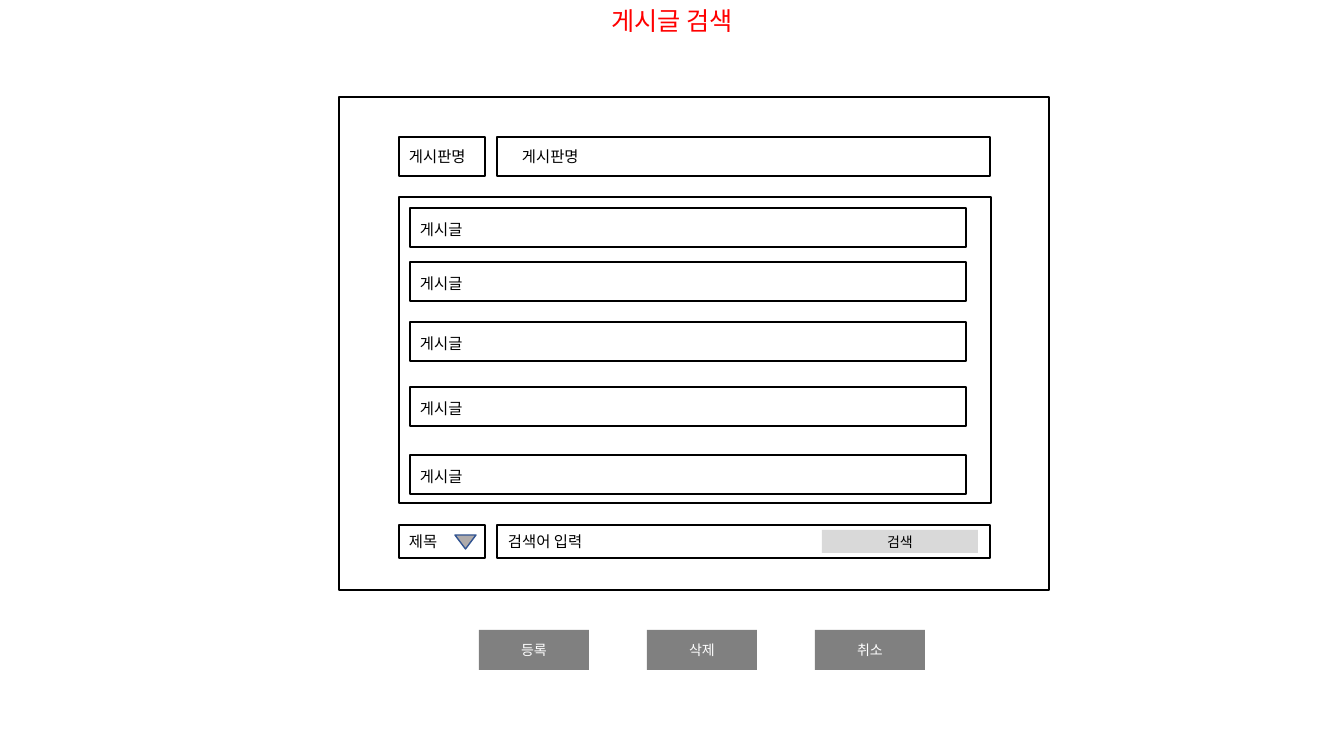
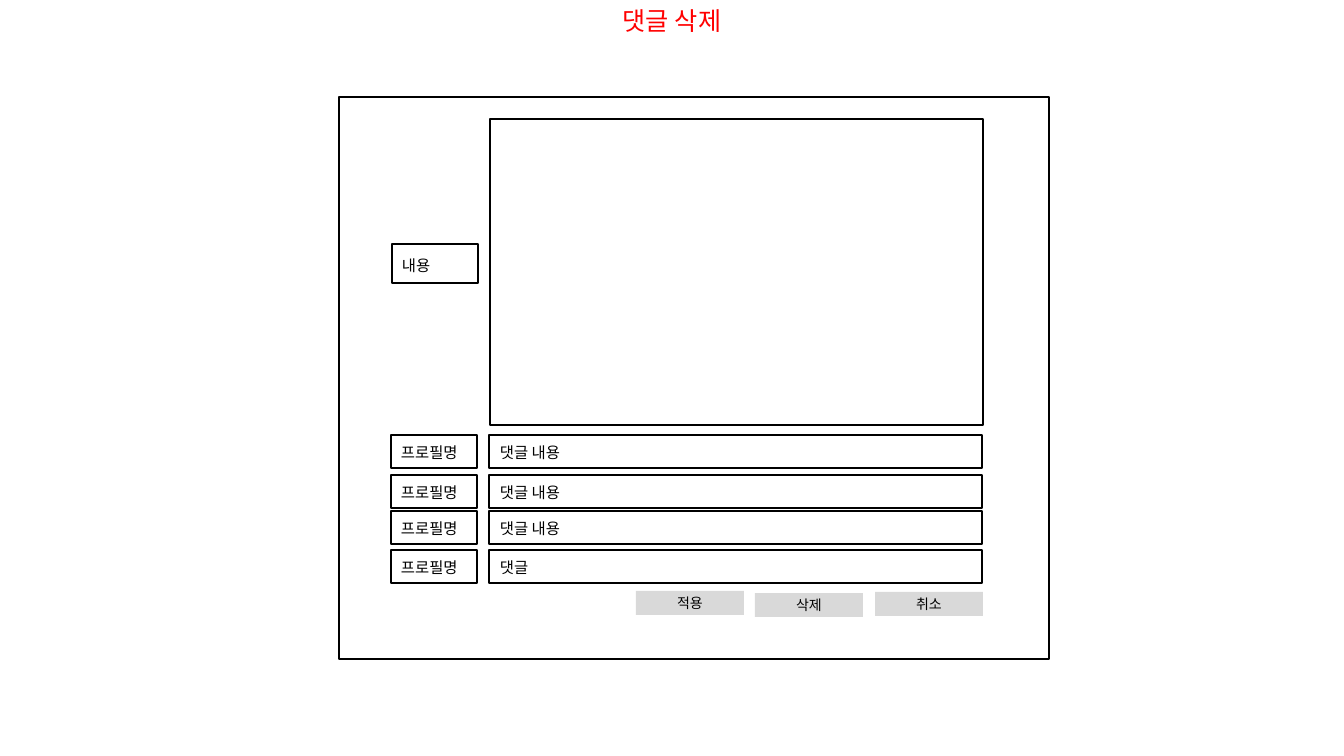
from lxml.etree import SubElement
from pptx import Presentation
from pptx.dml.color import RGBColor
from pptx.enum.shapes import MSO_SHAPE
from pptx.enum.text import MSO_ANCHOR, MSO_AUTO_SIZE, PP_ALIGN
from pptx.oxml.ns import qn
from pptx.util import Emu, Pt

BLACK = RGBColor(0, 0, 0)
WHITE = RGBColor(255, 255, 255)
RED = RGBColor(255, 0, 0)
GRAY = RGBColor(0x80, 0x80, 0x80)
PALE = RGBColor(0xD9, 0xD9, 0xD9)
SILVER = RGBColor(0xAF, 0xAB, 0xAB)
BLUE = RGBColor(0x32, 0x54, 0x91)
FACE = "Noto Sans CJK KR"


def px(*sizes):
    return [Emu(round(size * 914400 / 100.8)) for size in sizes]


class Screen:
    """Draws one wireframe screen in the shared style."""

    def __init__(self, deck, title):
        self.slide = deck.slides.add_slide(deck.slide_layouts[5])
        self.shapes = self.slide.shapes
        head = self.shapes.title
        head.left, head.top, head.width, head.height = px(0, 0, 1344, 40)
        self.letter(head, title, 18, RED, PP_ALIGN.CENTER)

    def letter(self, shape, text, size, ink, align=PP_ALIGN.LEFT,
               anchor=MSO_ANCHOR.TOP, fit=MSO_AUTO_SIZE.SHAPE_TO_FIT_TEXT):
        frame = shape.text_frame
        form = {"word_wrap": True, "vertical_anchor": anchor, "auto_size": fit}
        for key, value in form.items():
            setattr(frame, key, value)
        line = frame.paragraphs[0]
        line.alignment = align
        run = line.add_run()
        run.text = text
        for key, value in {"size": Pt(size), "name": FACE}.items():
            setattr(run.font, key, value)
        run.font.color.rgb = ink
        SubElement(run._r.get_or_add_rPr(), qn("a:ea"), typeface=FACE)

    def shape(self, kind, place, fill=None, edge=None):
        item = self.shapes.add_shape(kind, *px(*place))
        item.shadow.inherit = False
        if fill is None:
            item.fill.background()
        else:
            item.fill.solid()
            item.fill.fore_color.rgb = fill
        if edge is None:
            item.line.fill.background()
        else:
            item.line.color.rgb = edge
            item.line.width = Pt(1)
        return item

    def box(self, *place):
        self.shape(MSO_SHAPE.RECTANGLE, place, edge=BLACK)

    def label(self, x, y, w, text):
        self.letter(self.shapes.add_textbox(*px(x, y, w, 29)), text, 11, BLACK)

    def button(self, place, text, fill=PALE, ink=BLACK):
        item = self.shape(MSO_SHAPE.RECTANGLE, place, fill)
        self.letter(item, text, 10, ink, PP_ALIGN.CENTER,
                    MSO_ANCHOR.MIDDLE, MSO_AUTO_SIZE.NONE)

    def arrow(self, *place):
        self.shape(MSO_SHAPE.ISOSCELES_TRIANGLE, place, SILVER, BLUE).rotation = 180


def search(deck):
    page = Screen(deck, "게시글 검색")
    page.box(339, 97, 710, 493)
    for y, h in ((137, 39), (525, 33)):
        page.box(399, y, 86, h)
        page.box(497, y, 493, h)
    page.label(399, 142, 87, "게시판명")
    page.label(512, 142, 87, "게시판명")
    page.box(399, 197, 592, 306)
    for y in (208, 262, 322, 387, 455):
        page.box(410, y, 556, 39)
        page.label(410, y + 7, 564, "게시글")
    page.label(399, 527, 87, "제목")
    page.arrow(455, 535, 21, 14)
    page.label(498, 527, 324, "검색어 입력")
    page.button((822, 530, 156, 23), "검색")
    for i, text in enumerate(("등록", "삭제", "취소")):
        page.button((479 + 168 * i, 630, 110, 40), text, GRAY, WHITE)


def remove(deck):
    page = Screen(deck, "댓글 삭제")
    page.box(339, 97, 710, 562)
    page.box(490, 119, 493, 306)
    page.box(392, 244, 86, 39)
    page.label(392, 251, 87, "내용")
    notes = ["댓글 내용"] * 3 + ["댓글"]
    for y, note in zip((435, 475, 511, 550), notes):
        page.box(391, y, 86, 33)
        page.label(391, y + 3, 87, "프로필명")
        page.box(489, y, 493, 33)
        page.label(490, y + 3, 492, note)
    for x, y, text in ((636, 591, "적용"), (755, 593, "삭제"), (875, 592, "취소")):
        page.button((x, y, 108, 24), text)


deck = Presentation()
deck.slide_width, deck.slide_height = px(1344, 756)
search(deck)
remove(deck)
deck.save("out.pptx")
